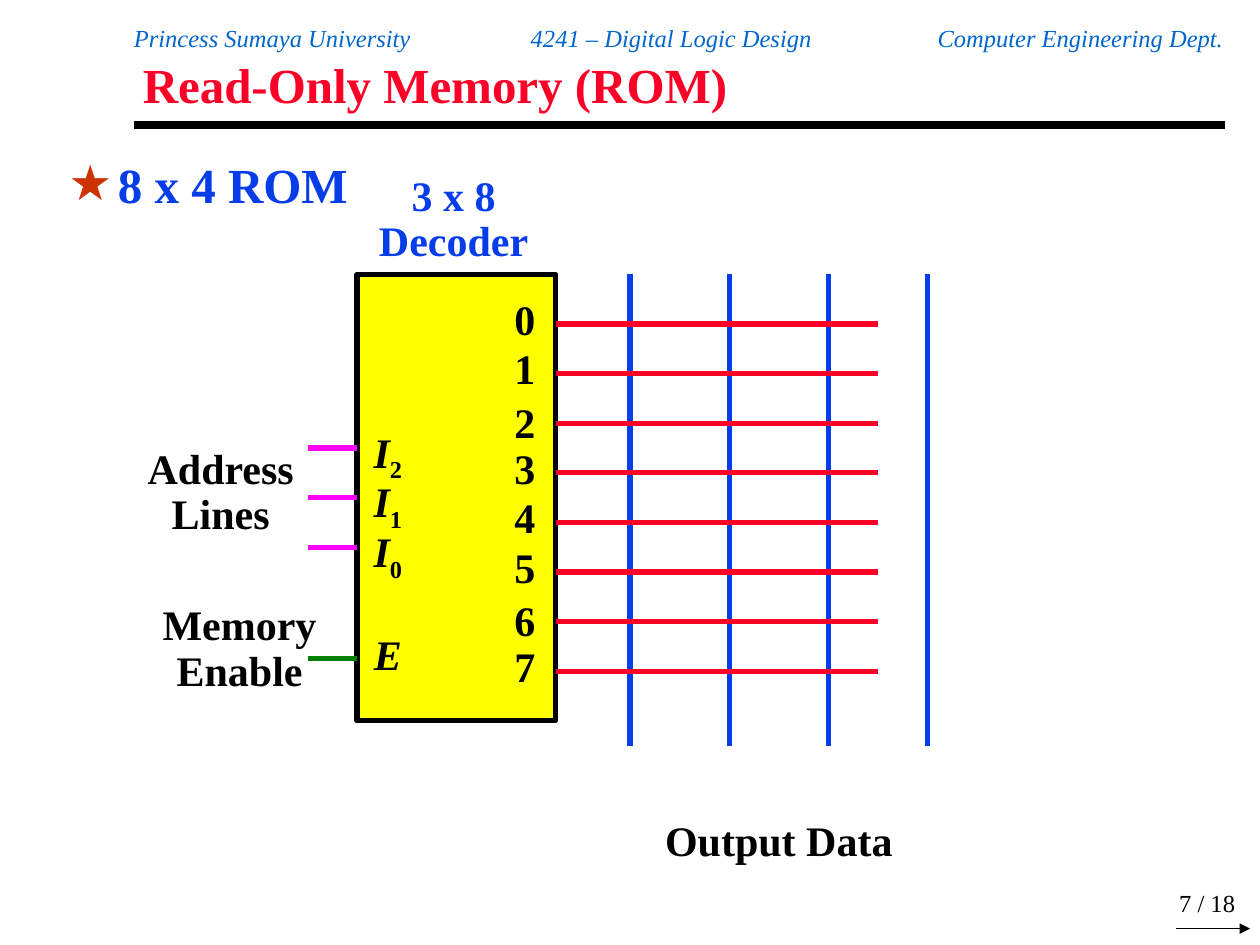
from lxml.etree import SubElement as Sub
from pptx import Presentation
from pptx.dml.color import RGBColor as RGB
from pptx.enum.shapes import MSO_CONNECTOR as Link, MSO_SHAPE as Kind
from pptx.enum.text import MSO_ANCHOR as Anchor, MSO_AUTO_SIZE as Fit, PP_ALIGN as Align
from pptx.oxml.ns import qn
from pptx.util import Cm, Inches, Pt

BLACK = RGB(0x00, 0x00, 0x00)
RED = RGB(0xFC, 0x01, 0x28)
BLUE = RGB(0x06, 0x3D, 0xE8)
SKY = RGB(0x00, 0x66, 0xCC)
PINK = RGB(0xFF, 0x00, 0xFF)
GREEN = RGB(0x00, 0x80, 0x00)
YELLOW = RGB(0xFF, 0xFF, 0x00)


class Sheet:
    face = "Times New Roman"
    left, top = 2.7, 0.53

    def __init__(self, deck):
        self.slide = deck.slides.add_slide(deck.slide_layouts[1])
        self.shapes = self.slide.shapes

    def x(self, col):
        return Cm(self.left + col)

    def y(self, row):
        return Cm(self.top + row)

    def area(self, col, row, wide, high):
        return self.x(col), self.y(row), Cm(wide), Cm(high)

    def run(self, para, text, size=24, color=BLACK, bold=True, slant=False, base=0):
        run = para.add_run()
        run.text = text
        font = run.font
        font.name, font.size = self.face, Pt(size)
        font.bold, font.italic = bold, slant
        font.color.rgb = color
        if base:
            run._r.get_or_add_rPr().set("baseline", str(base * 1000))

    def frame(self, shape, pad=(0, 0), grow=True, anchor=Anchor.TOP):
        frame = shape.text_frame
        frame.word_wrap = True
        frame.auto_size = Fit.SHAPE_TO_FIT_TEXT if grow else Fit.NONE
        frame.vertical_anchor = anchor
        frame.margin_left = frame.margin_right = Inches(pad[0])
        frame.margin_top = frame.margin_bottom = Inches(pad[1])
        para = frame.paragraphs[0]
        para.space_before = Pt(0)
        return para

    def text(self, area, align=Align.CENTER, space=0.9, **look):
        para = self.frame(self.shapes.add_textbox(*self.area(*area)), **look)
        para.alignment, para.line_spacing = align, space
        return para

    def label(self, area, *lines, **look):
        para = self.text(area)
        for i, line in enumerate(lines):
            if i:
                para.add_line_break()
            self.run(para, line, **look)

    def pin(self, row, name, sub=""):
        para = self.text((4.62, row, 1, 0.91))
        self.run(para, name, slant=True)
        if sub:
            self.run(para, sub, base=-25)

    def hold(self, index, area):
        shape = self.slide.placeholders[index]
        shape.left, shape.top, shape.width, shape.height = self.area(*area)
        para = self.frame(shape, pad=(0.07, 0.03))
        para.alignment = Align.LEFT
        return para

    def title(self, area, text):
        para = self.hold(0, area)
        para.line_spacing = 0.87
        self.run(para, text, 28, RED)

    def list(self, area, text):
        para = self.hold(1, area)
        props = para._p.get_or_add_pPr()
        props.set("marL", str(Cm(1)))
        props.set("indent", str(-Cm(1)))
        tint = Sub(props, qn("a:buClr"))
        Sub(tint, qn("a:srgbClr")).set("val", "CC3300")
        Sub(props, qn("a:buChar")).set("char", "★")
        self.run(para, text, 28, BLUE)

    def head(self, area, names, stops):
        para = self.text(area, Align.LEFT)
        tabs = Sub(para._p.get_or_add_pPr(), qn("a:tabLst"))
        for stop in stops:
            tab = Sub(tabs, qn("a:tab"))
            tab.set("pos", str(Cm(stop)))
            tab.set("algn", "l")
        self.run(para, "\t".join(names), 14, SKY, False, True)

    def line(self, start, end, color=BLACK, width=3, arrow=False):
        line = self.shapes.add_connector(
            Link.STRAIGHT, self.x(start[0]), self.y(start[1]), self.x(end[0]), self.y(end[1]))
        line.line.color.rgb = color
        line.line.width = Pt(width)
        if arrow:
            Sub(line.line._get_or_add_ln(), qn("a:tailEnd")).set("type", "triangle")
        Sub(line._element.spPr, qn("a:effectLst"))

    def box(self, area, fill):
        box = self.shapes.add_shape(Kind.RECTANGLE, *self.area(*area))
        box.shadow.inherit = False
        box.fill.solid()
        box.fill.fore_color.rgb = fill
        box.line.color.rgb = BLACK
        box.line.width = Pt(3)


def main():
    deck = Presentation()
    deck.slide_width, deck.slide_height = Inches(10), Inches(7.5)
    page = Sheet(deck)

    page.line((0, 1.99), (22, 1.99), width=4.5)
    page.head((0, 0, 22, 0.53),
              ("Princess Sumaya University", "4241 – Digital Logic Design",
               "Computer Engineering Dept."), (8, 16.2))
    page.title((0, 0.66, 22, 1.17), "Read-Only Memory (ROM)")
    page.list((-1.5, 2.5, 23, 1.32), "8 x 4 ROM")

    page.box((4.5, 5, 4, 9), YELLOW)
    page.label((4.5, 3, 3.89, 1.83), "3 x 8", "Decoder", color=BLUE)
    for col in range(10, 18, 2):
        page.line((col, 5), (col, 14.5), BLUE)
    for i in range(8):
        page.line((15, 6 + i), (8.5, 6 + i), RED)
        drop = 0.08 if i in (2, 6) else 0
        page.label((7.38, 5.5 + i + drop, 1, 0.91), str(i))

    for i, sub in enumerate("210"):
        page.line((4.5, 8.5 + i), (3.5, 8.5 + i), PINK)
        page.pin(8.08 + i, "I", sub)
    page.line((4.5, 12.75), (3.5, 12.75), GREEN)
    page.pin(12.25, "E")

    page.label((0, 8.5, 3.5, 1.83), "Address", "Lines")
    page.label((0.38, 11.66, 3.5, 1.83), "Memory", "Enable")
    page.label((10, 16, 6, 0.91), "Output Data")

    foot = page.text((19.12, 17.27, 3.33, 0.81), Align.RIGHT, 1,
                     pad=(0.1, 0.05), grow=False, anchor=Anchor.BOTTOM)
    page.run(foot, "7 / 18", 14, bold=False)
    page.line((21, 18.19), (22.5, 18.19), width=0.75, arrow=True)
    deck.save("out.pptx")


if __name__ == "__main__":
    main()
